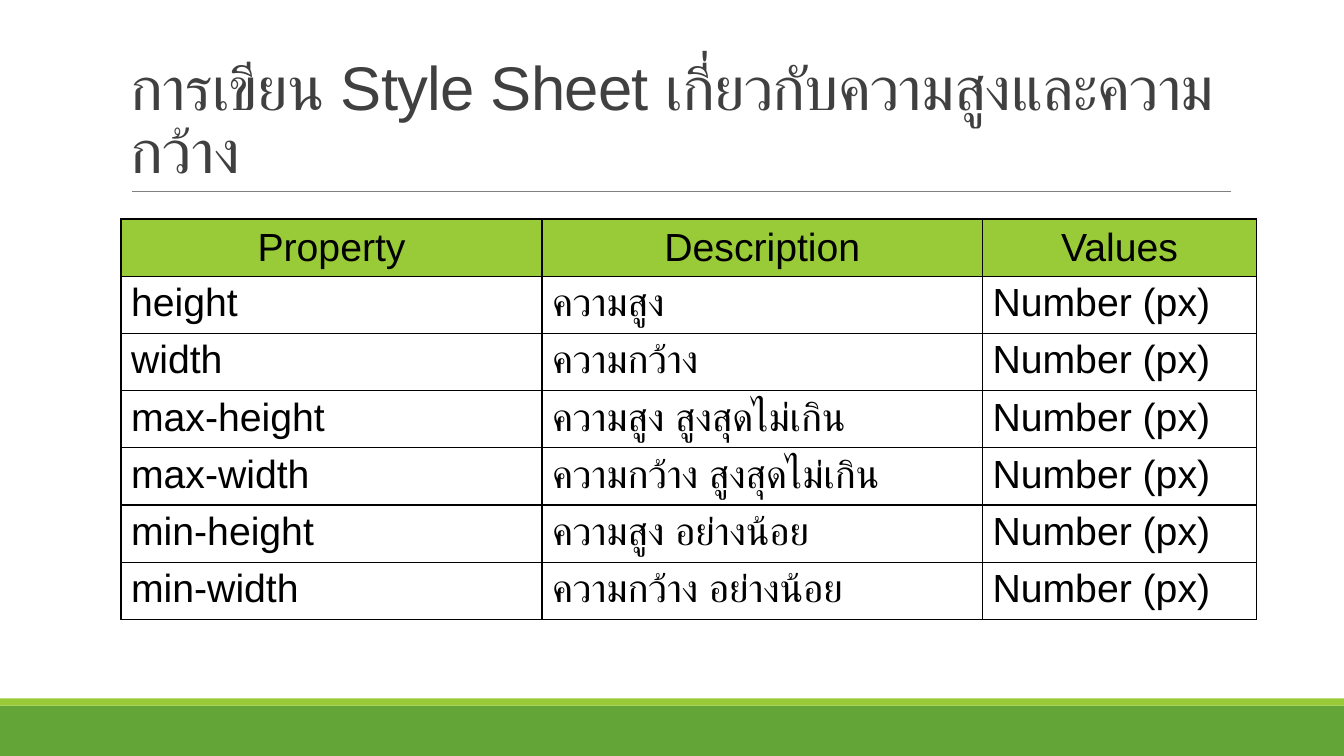
from dataclasses import dataclass
from lxml import etree
from pptx import Presentation
from pptx.dml.color import RGBColor
from pptx.enum.shapes import MSO_CONNECTOR, MSO_SHAPE
from pptx.enum.text import MSO_ANCHOR, PP_ALIGN
from pptx.oxml import parse_xml
from pptx.oxml.ns import nsdecls, qn
from pptx.util import Cm, Pt

LEFT, CENTER = PP_ALIGN.LEFT, PP_ALIGN.CENTER
TOP, MIDDLE, BOTTOM = MSO_ANCHOR.TOP, MSO_ANCHOR.MIDDLE, MSO_ANCHOR.BOTTOM
RECT, STRAIGHT = MSO_SHAPE.RECTANGLE, MSO_CONNECTOR.STRAIGHT

WIDTH, HEIGHT = 33.87, 19.05
TITLE = "การเขียน Style Sheet เกี่ยวกับความสูงและความกว้าง"
HEAD = ("Property", "Description", "Values")
ITEMS = (
    ("height", "ความสูง"),
    ("width", "ความกว้าง"),
    ("max-height", "ความสูง สูงสุดไม่เกิน"),
    ("max-width", "ความกว้าง สูงสุดไม่เกิน"),
    ("min-height", "ความสูง อย่างน้อย"),
    ("min-width", "ความกว้าง อย่างน้อย"),
)
VALUE = "Number (px)"


@dataclass
class Theme:
    font: str = "Arial"
    title: int = 44
    body: int = 28
    green: str = "63A537"
    lime: str = "99CB38"
    gray: str = "808080"
    dark: str = "404040"
    black: str = "000000"


def color(code):
    return RGBColor.from_string(code)


def write(frame, text, font, size, ink, align=LEFT, space=None, track=None):
    """Fill a text frame with one formatted paragraph; track is in points."""
    para = frame.paragraphs[0]
    para.alignment = align
    if space:
        para.line_spacing = space
    run = para.add_run()
    run.text = text
    run.font.name = font
    run.font.size = Pt(size)
    run.font.color.rgb = color(ink)
    props = run.font._element
    etree.SubElement(props, qn("a:cs"), typeface=font)
    if track:
        props.set("spc", str(int(track * 100)))


def border(cell, ink, width):
    """Draw the four edges of a table cell."""
    props = cell._tc.get_or_add_tcPr()
    for spot, side in enumerate("LRTB"):
        edge = parse_xml(
            f'<a:ln{side} {nsdecls("a")} w="{Pt(width)}"><a:solidFill>'
            f'<a:srgbClr val="{ink}"/></a:solidFill></a:ln{side}>'
        )
        props.insert(spot, edge)


class Page:
    def __init__(self, slide, theme):
        self.shapes = slide.shapes
        self.theme = theme

    def band(self, top, height, fill):
        shape = self.shapes.add_shape(RECT, 0, Cm(top), Cm(WIDTH), Cm(height))
        shape.shadow.inherit = False
        shape.fill.solid()
        shape.fill.fore_color.rgb = color(fill)
        shape.line.fill.background()

    def rule(self, left, right, top):
        line = self.shapes.add_connector(
            STRAIGHT, Cm(left), Cm(top), Cm(right), Cm(top))
        line.line.color.rgb = color(self.theme.gray)
        line.line.width = Pt(0.5)
        etree.SubElement(line._element.spPr, qn("a:effectLst"))

    def title(self, text, left, top, width, height):
        box = self.shapes.add_textbox(Cm(left), Cm(top), Cm(width), Cm(height))
        frame = box.text_frame
        frame.word_wrap = True
        frame.vertical_anchor = BOTTOM
        look = self.theme
        write(frame, text, look.font, look.title, look.dark,
              space=0.85, track=-0.5)

    def table(self, rows, left, top, widths, height):
        """Draw a grid whose first row is the heading."""
        look = self.theme
        grid = self.shapes.add_table(
            len(rows), len(widths), Cm(left), Cm(top),
            Cm(sum(widths)), Cm(height * len(rows))).table
        grid.horz_banding = False
        for col, width in zip(grid.columns, widths):
            col.width = Cm(width)
        for i, row in enumerate(rows):
            grid.rows[i].height = Cm(height)
            for j, text in enumerate(row):
                cell = grid.cell(i, j)
                if i == 0:
                    cell.fill.solid()
                    cell.fill.fore_color.rgb = color(look.lime)
                else:
                    cell.fill.background()
                cell.vertical_anchor = TOP if i else MIDDLE
                write(cell.text_frame, text, look.font, look.body, look.black,
                      align=LEFT if i else CENTER)
                cell.text_frame.paragraphs[0].runs[0].font.bold = False
                border(cell, look.black, 1)


def main():
    deck = Presentation()
    deck.slide_width, deck.slide_height = Cm(WIDTH), Cm(HEIGHT)
    theme = Theme()
    page = Page(deck.slides.add_slide(deck.slide_layouts[6]), theme)
    page.band(17.78, 1.27, theme.green)
    page.band(17.6, 0.18, theme.lime)
    page.rule(3.33, 31.01, 4.82)
    page.title(TITLE, 3.05, 0.79, 27.94, 4.03)
    rows = [HEAD] + [(*item, VALUE) for item in ITEMS]
    page.table(rows, 3.05, 5.52, (10.61, 11.1, 6.91), 1.36)
    deck.save("out.pptx")


if __name__ == "__main__":
    main()
